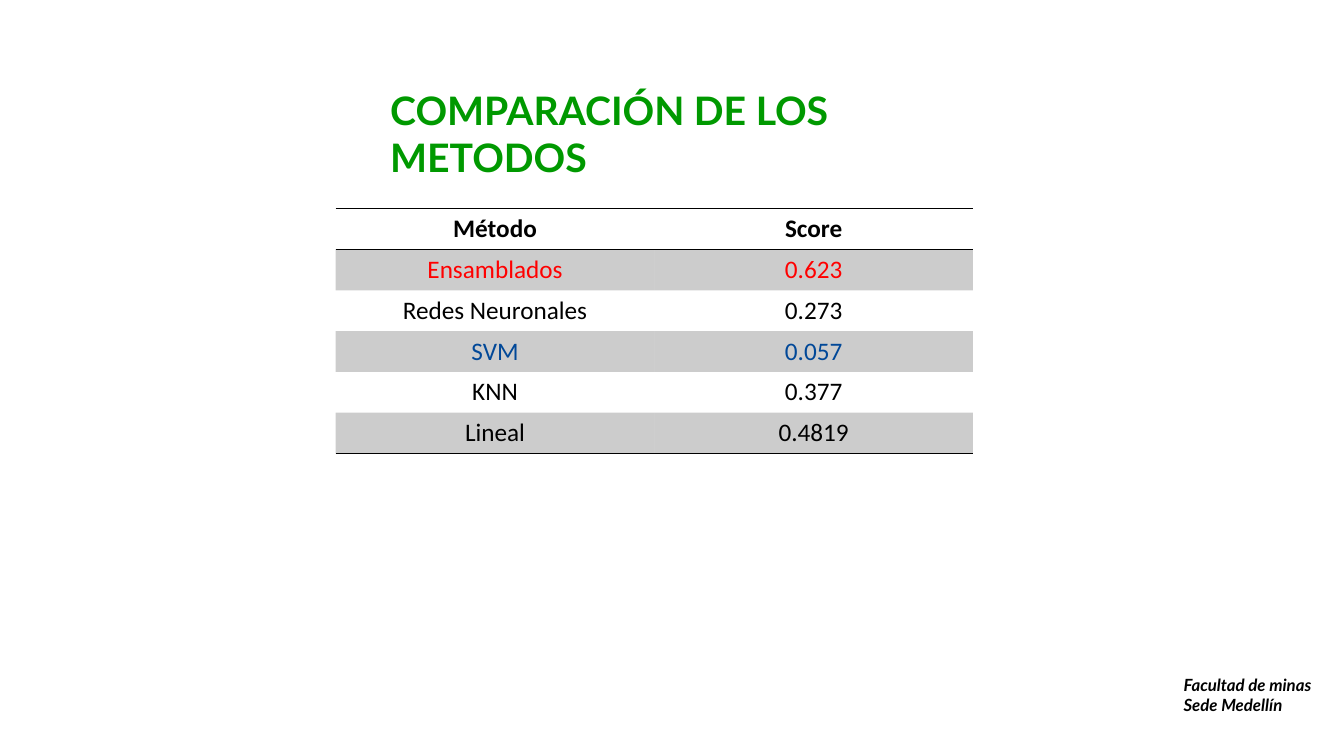
from lxml.etree import SubElement
from pptx import Presentation
from pptx.dml.color import RGBColor
from pptx.enum.text import MSO_ANCHOR, MSO_AUTO_SIZE, PP_ALIGN
from pptx.oxml.ns import qn
from pptx.util import Inches, Pt

BLACK, GREEN, RED, BLUE = "000000", "009900", "FF0000", "014898"
NO_STYLE = "{2D5ABB26-0587-4C30-8999-92F81FD0307C}"

# Method, score, text colour
SCORES = [
    ("Método", "Score", BLACK),
    ("Ensamblados", "0.623", RED),
    ("Redes Neuronales", "0.273", BLACK),
    ("SVM", "0.057", BLUE),
    ("KNN", "0.377", BLACK),
    ("Lineal", "0.4819", BLACK),
]


def paint(color_format, color):
    color_format.rgb = RGBColor.from_string(color)


def format_text(frame, font, size, color, align=PP_ALIGN.LEFT, bold=True, italic=False):
    for paragraph in frame.paragraphs:
        paragraph.alignment = align
        for run in paragraph.runs:
            run.font.name = font
            run.font.size = Pt(size)
            run.font.bold = bold
            run.font.italic = italic
            paint(run.font.color, color)


def add_title(slide, text):
    title = slide.shapes.title
    title.left, title.top = Inches(3.77), Inches(0.81)
    title.width, title.height = Inches(5.79), Inches(0.57)
    frame = title.text_frame
    frame.text = text
    frame.word_wrap = True
    frame.auto_size = MSO_AUTO_SIZE.NONE
    frame.vertical_anchor = MSO_ANCHOR.TOP
    format_text(frame, "Lato", 28, GREEN)


def add_rule(cell, side):
    line = SubElement(cell._tc.get_or_add_tcPr(), qn(f"a:ln{side}"), w=str(Pt(1)))
    fill = SubElement(line, qn("a:solidFill"))
    SubElement(fill, qn("a:srgbClr"), val=BLACK)


def shade(cell):
    cell.fill.solid()
    paint(cell.fill.fore_color, BLACK)
    tint = cell._tc.tcPr.find(".//" + qn("a:solidFill") + "/" + qn("a:srgbClr")) \
        if not cell._tc.tcPr.findall(qn("a:lnB")) \
        else cell._tc.tcPr.find(qn("a:solidFill")).find(qn("a:srgbClr"))
    SubElement(tint, qn("a:alpha"), val="20000")


def add_score_table(slide):
    frame = slide.shapes.add_table(
        len(SCORES), 2, Inches(3.33), Inches(2.07), Inches(6.32), Inches(2.43))
    scores = frame.table
    scores._tbl.tblPr.find(qn("a:tableStyleId")).text = NO_STYLE
    last = len(SCORES) - 1
    for row, (method, score, color) in enumerate(SCORES):
        for column, text in enumerate((method, score)):
            cell = scores.cell(row, column)
            cell.text = text
            format_text(cell.text_frame, "Calibri", 18, color, PP_ALIGN.CENTER, bold=row == 0)
            # Rules go before the fill in the cell properties
            if row == 0:
                add_rule(cell, "T")
            if row in (0, last):
                add_rule(cell, "B")
            if row % 2:
                shade(cell)
            else:
                cell.fill.background()


def add_faculty(slide, text):
    faculty = slide.shapes.add_textbox(Inches(11.64), Inches(6.64), Inches(1.52), Inches(0.5))
    frame = faculty.text_frame
    frame.word_wrap = True
    frame.text = text
    format_text(frame, "Lato", 12, BLACK, italic=True)


def main():
    deck = Presentation()
    deck.slide_width, deck.slide_height = Inches(13.33), Inches(7.5)
    slide = deck.slides.add_slide(deck.slide_layouts[5])
    add_faculty(slide, "Facultad de minas\nSede Medellín")
    add_score_table(slide)
    add_title(slide, "COMPARACIÓN DE LOS METODOS")
    deck.save("out.pptx")


if __name__ == "__main__":
    main()
